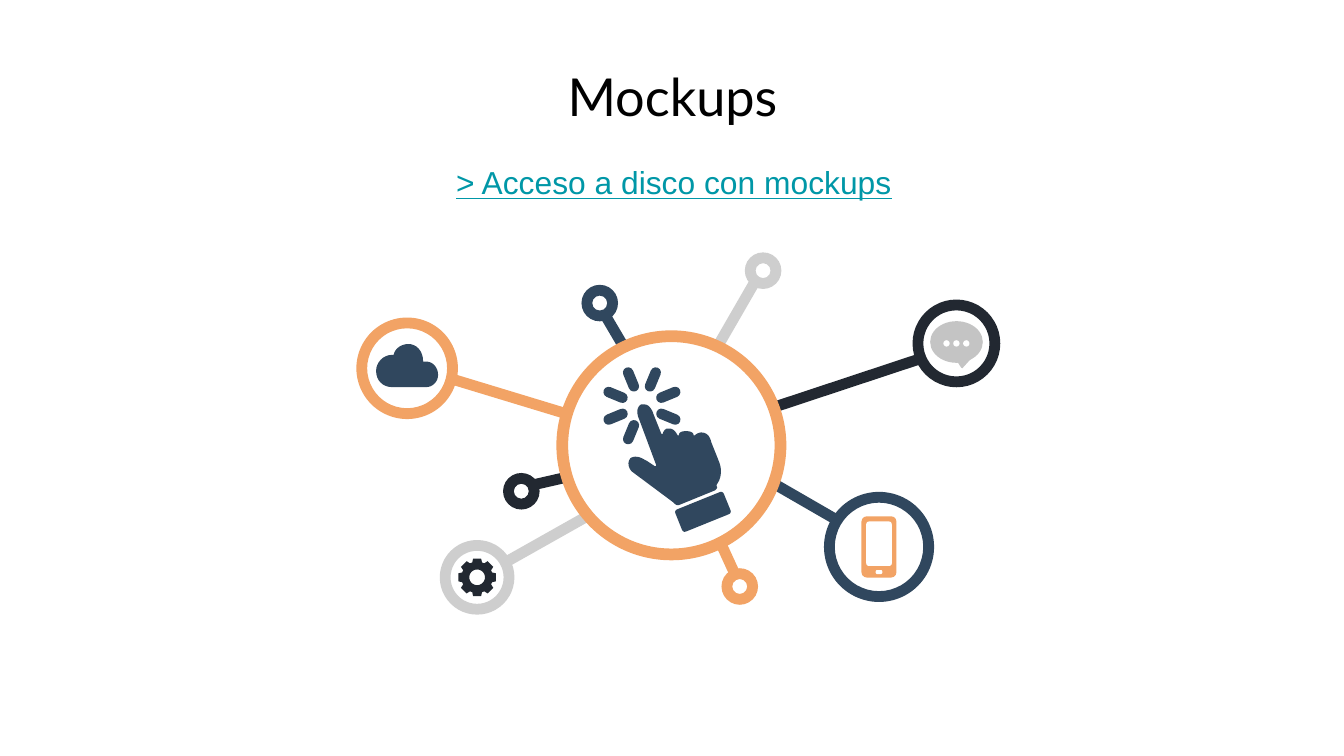
import math

from lxml import etree
from pptx import Presentation
from pptx.dml.color import RGBColor
from pptx.enum import shapes as kinds, text as layout
from pptx.oxml.ns import qn
from pptx.util import Pt

NAVY = RGBColor(0x30, 0x47, 0x5E)
DARK = RGBColor(0x22, 0x28, 0x31)
ORANGE = RGBColor(0xF2, 0xA3, 0x65)
GREY = RGBColor(0xCE, 0xCE, 0xCE)
BUBBLE = RGBColor(0xC4, 0xC4, 0xC4)
LINK = RGBColor(0x00, 0x97, 0xA7)
BLACK = RGBColor(0, 0, 0)
WHITE = RGBColor(0xFF, 0xFF, 0xFF)
SHAPE = kinds.MSO_SHAPE
THICK = 5.8

# Outlines in points: pairs are straight steps, sixes are cubic curves
CLOUD = [
    (0.7, -13), (-2.9, -13, -6.5, -10.8, -7.2, -7.2), (-7.9, -7.2),
    (-13, -7.2, -16.6, -2.9, -16.6, 1.4), (-16.6, 6.5, -13, 10.1, -7.9, 10.1),
    (10.1, 10.1), (13.7, 10.1, 16.6, 7.2, 16.6, 3.6),
    (16.6, -0.7, 13.7, -3.6, 10.1, -3.6), (8.6, -3.6),
    (8.6, -9.4, 5, -13, 0.7, -13)]
HAND = [
    (10.1, 0), (8.6, 0), (5, 2.2, 7.2, 7.2, 7.2, 7.2), (16.6, 32.4),
    (16.6, 33.1, 16.6, 33.1, 15.8, 33.1), (11.5, 30.2),
    (10.8, 30.2, 8.6, 28.1, 5.8, 28.1), (5, 28.1, 4.3, 28.1, 2.9, 28.8),
    (0, 32.4, 3.6, 36, 3.6, 36), (25.9, 52.6), (26.6, 53.3),
    (27.4, 54, 27.4, 54, 28.1, 54), (28.8, 54), (48.2, 46.1),
    (49, 45.4, 49.7, 44.6, 49, 43.9), (49, 43.2),
    (53.3, 37.4, 50.4, 31, 50.4, 31), (46.1, 20.2),
    (46.1, 20.2, 45.4, 15.1, 41, 15.1), (39.6, 15.1, 38.2, 15.8, 37.4, 16.6),
    (36.7, 16.6), (36.7, 15.8, 36, 14.4, 33.1, 14.4), (32.4, 14.4),
    (30.2, 14.4, 28.8, 15.1, 28.8, 16.6), (28.1, 16.6),
    (27.4, 15.1, 25.9, 13, 23.8, 13), (22.3, 13),
    (20.9, 13.7, 20.2, 15.1, 20.2, 15.8), (19.4, 15.8), (15.1, 5),
    (15.1, 5, 13.7, 0, 10.1, 0)]


def paint(shape, color):
    shape.shadow.inherit = False
    shape.fill.solid()
    shape.fill.fore_color.rgb = color
    shape.line.fill.background()
    return shape


def add_centered(slide, kind, x, y, width, height, color, adjust=None, turn=0):
    shape = slide.shapes.add_shape(kind, Pt(x - width / 2), Pt(y - height / 2),
                                   Pt(width), Pt(height))
    if adjust is not None:
        shape.adjustments[0] = adjust
    shape.rotation = turn
    return paint(shape, color)


def add_ring(slide, x, y, size, color, thick=THICK):
    add_centered(slide, SHAPE.DONUT, x, y, size, size, color, thick / size)


def add_spoke(slide, x1, y1, x2, y2, color):
    spoke = slide.shapes.add_connector(kinds.MSO_CONNECTOR.STRAIGHT,
                                       Pt(x1), Pt(y1), Pt(x2), Pt(y2))
    spoke.line.color.rgb = color
    spoke.line.width = Pt(THICK)
    etree.SubElement(spoke._element.spPr, qn("a:effectLst"))


def flatten(outline, steps=8):
    """Turn the curved steps of an outline into short straight ones."""
    points = []
    for step in outline:
        if len(step) == 2:
            points.append(step)
            continue
        corners = [points[-1], step[:2], step[2:4], step[4:]]
        for i in range(1, steps + 1):
            t = i / steps
            weights = [math.comb(3, k) * t**k * (1 - t)**(3 - k) for k in range(4)]
            points.append(tuple(sum(w * c[axis] for w, c in zip(weights, corners))
                                for axis in (0, 1)))
    return points


def add_outline(slide, x, y, color, *contours):
    placed = [[(Pt(x + dx), Pt(y + dy)) for dx, dy in flatten(contour)]
              for contour in contours]
    builder = slide.shapes.build_freeform(*placed[0][0])
    builder.add_line_segments(placed[0][1:], close=True)
    for contour in placed[1:]:
        builder.move_to(*contour[0])
        builder.add_line_segments(contour[1:], close=True)
    paint(builder.convert_to_shape(), color)


def polar(radius, degrees):
    angle = math.radians(degrees)
    return radius * math.cos(angle), radius * math.sin(angle)


def add_text(slide, box, words, *, size, font, color, underline=None):
    frame = slide.shapes.add_textbox(*map(Pt, box)).text_frame
    frame.word_wrap = True
    frame.vertical_anchor = layout.MSO_ANCHOR.MIDDLE
    frame.margin_left = frame.margin_right = Pt(7.2)
    frame.margin_top = frame.margin_bottom = Pt(7.2)
    para = frame.paragraphs[0]
    para.alignment = layout.PP_ALIGN.CENTER
    span = para.add_run()
    span.text = words
    span.font.size = Pt(size)
    span.font.name = font
    span.font.color.rgb = color
    span.font.underline = underline


def add_cloud(slide, x, y):
    add_outline(slide, x, y, NAVY, CLOUD)


def add_gear(slide, x, y):
    teeth = [polar(radius, 45 * tooth + turn) for tooth in range(8)
             for radius, turn in ((8.4, -18), (10.3, -12), (10.3, 12), (8.4, 18))]
    hole = [polar(4.2, -10 * i) for i in range(36)]
    add_outline(slide, x, y, DARK, teeth, hole)


def add_bubble(slide, x, y):
    add_centered(slide, SHAPE.OVAL, x, y - 0.8, 28.2, 22.3, BUBBLE)
    add_outline(slide, x, y, BUBBLE, [(0, 9), (2.6, 13), (3.2, 13.3), (8, 8)])
    for offset in (-5.3, 0, 5.3):
        add_centered(slide, SHAPE.OVAL, x + offset, y, 3.4, 3.4, WHITE)


def add_phone(slide, x, y):
    add_centered(slide, SHAPE.ROUNDED_RECTANGLE, x, y, 18.7, 32.8, ORANGE, 0.15)
    add_centered(slide, SHAPE.ROUNDED_RECTANGLE, x, y - 1.7, 13.7, 23.8, WHITE, 0.1)
    add_centered(slide, SHAPE.ROUNDED_RECTANGLE, x, y + 13.5, 3.6, 2.2, WHITE, 0.4)


def add_click(slide, x, y):
    add_outline(slide, x - 24.8, y - 22, NAVY, HAND)
    # Cuff
    add_centered(slide, SHAPE.ROUNDED_RECTANGLE, x + 16.9, y + 35.6,
                 28, 12.8, NAVY, 0.12, -22)
    # Rays around the fingertip, open where the finger lies
    for turn in (22.5 + 45 * k for k in range(8) if k != 1):
        dx, dy = polar(15.3, turn)
        add_centered(slide, SHAPE.ROUNDED_RECTANGLE, x - 15.8 + dx, y - 21.2 + dy,
                     13.6, 5.6, NAVY, 0.5, turn)


def add_network(slide, left, top):
    # Node centre, size, colour, spoke from hub to node, icon
    nodes = [
        (279.9, 158, 59, NAVY, (223, 123.8, 256.8, 143.3), add_phone),
        (321.4, 49, 47, DARK, (222.6, 83.5, 300.8, 57.6), add_bubble),
        (27.1, 62.3, 54.4, ORANGE, (112.8, 86.8, 50.9, 68), add_cloud),
        (64.6, 174.3, 40, GREY, (124.4, 141.1, 79.7, 166.3), add_gear),
        (88.3, 128.2, 19.6, DARK, (112.8, 120.6, 94.1, 124.9), None),
        (205.3, 179.2, 19.6, ORANGE, (194.9, 155.5, 202.5, 172.1), None),
        (130.3, 27.4, 19.6, NAVY, (142.7, 50, 133.4, 34.2), None),
        (217.8, 10, 19.6, GREY, (193.8, 50, 213.3, 16.2), None),
    ]
    for x, y, size, color, (x1, y1, x2, y2), add_icon in nodes:
        add_spoke(slide, left + x1, top + y1, left + x2, top + y2, color)
        add_ring(slide, left + x, top + y, size, color)
        if add_icon:
            add_icon(slide, left + x, top + y)
    # Hub
    hub = left + 168.7, top + 103.6
    add_ring(slide, *hub, 123.2, ORANGE, 6.3)
    add_click(slide, *hub)


def main():
    deck = Presentation()
    deck.slide_width, deck.slide_height = Pt(720), Pt(405)
    slide = deck.slides.add_slide(deck.slide_layouts[6])
    add_text(slide, (56, 32.4, 608.4, 38.2), "Mockups",
             size=28, font="Lato", color=BLACK)
    add_network(slide, 191, 135)
    add_text(slide, (213.8, 89.3, 294.5, 16.6), "> Acceso a disco con mockups",
             size=17, font="Arial", color=LINK, underline=True)
    deck.save("out.pptx")


if __name__ == "__main__":
    main()
